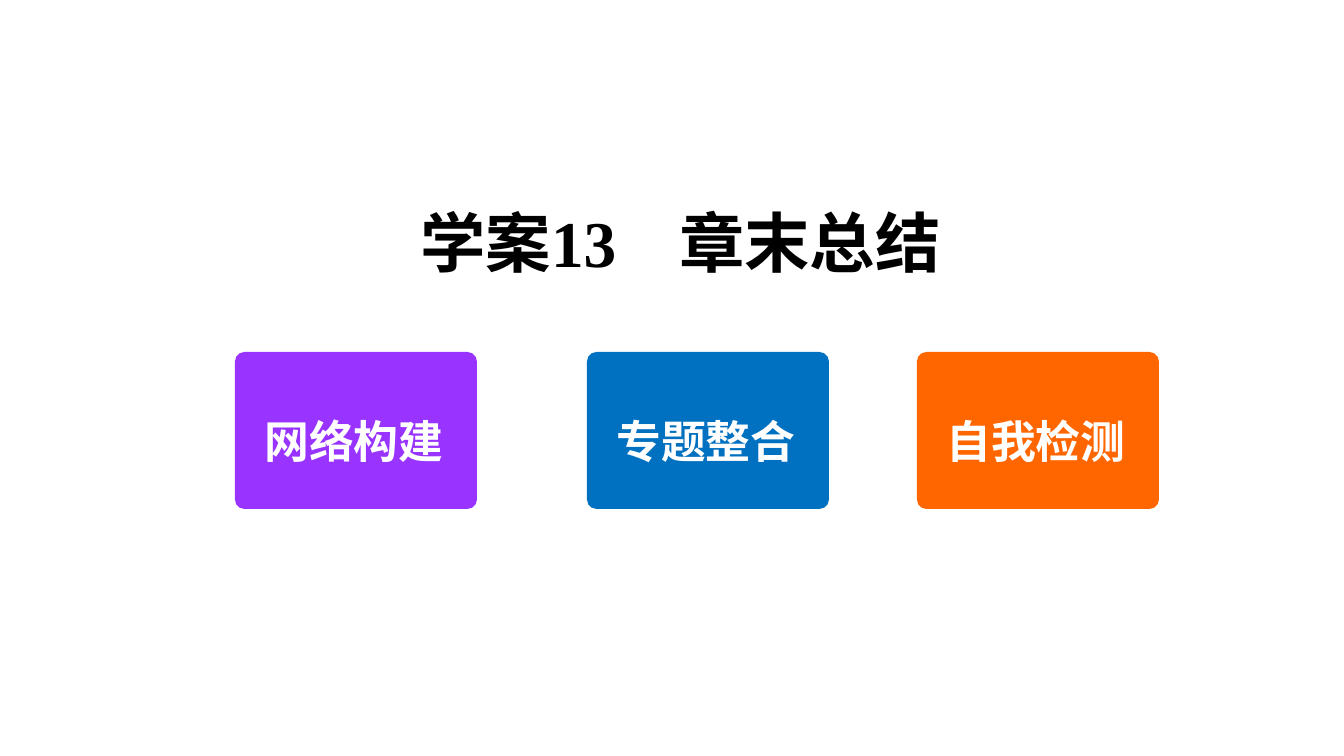
"""Build a chapter summary title slide with three coloured section cards."""
from dataclasses import dataclass

import pptx
import pptx.dml.color
import pptx.enum.shapes
import pptx.enum.text
import pptx.oxml
import pptx.oxml.ns
import pptx.util

TITLE = "学案13\t章末总结"
CARDS = [
    ("网络构建", 235, "9933FF"),
    ("专题整合", 587, "0070C0"),
    ("自我检测", 917, "FF6600"),
]

SLIDE_SIZE = (1344, 756)
TITLE_BOX = (407, 156, 560, 118)
TITLE_TAB = 259
CARD_TOP, CARD_WIDTH, CARD_HEIGHT = 352, 242, 157
LABEL_INSET, LABEL_TOP, LABEL_HEIGHT = 16, 380, 86


@dataclass(frozen=True)
class Theme:
    title_color: str = "000000"
    label_color: str = "FFFFFF"
    title_size: int = 35
    label_size: int = 24
    latin_font: str = "Times New Roman"
    chinese_font: str = "Noto Sans CJK SC"
    line_spacing: float = 1.5
    corner: float = 0.06


THEME = Theme()


def px(length):
    return pptx.util.Emu(round(length * 914400 / 134.4))


def rgb(value):
    return pptx.dml.color.RGBColor.from_string(value)


def add_text(slide, text, *, box, size, color, font, wrap=True, tab=None):
    frame = slide.shapes.add_textbox(*map(px, box)).text_frame
    frame.word_wrap = wrap
    frame.auto_size = pptx.enum.text.MSO_AUTO_SIZE.SHAPE_TO_FIT_TEXT
    paragraph = frame.paragraphs[0]
    if tab is not None:
        properties = paragraph._p.get_or_add_pPr()
        properties.append(pptx.oxml.parse_xml(
            f'<a:tabLst {pptx.oxml.ns.nsdecls("a")}>'
            f'<a:tab pos="{px(tab)}" algn="l"/></a:tabLst>'))
    paragraph.line_spacing = THEME.line_spacing
    run = paragraph.add_run()
    run.text = text
    run.font.size = pptx.util.Pt(size)
    run.font.bold = True
    run.font.name = font
    run.font.color.rgb = rgb(color)
    run._r.get_or_add_rPr().append(pptx.oxml.parse_xml(
        f'<a:ea {pptx.oxml.ns.nsdecls("a")} typeface="{THEME.chinese_font}"/>'))


def add_card(slide, label, left, color):
    card = slide.shapes.add_shape(
        pptx.enum.shapes.MSO_SHAPE.ROUNDED_RECTANGLE,
        *map(px, (left, CARD_TOP, CARD_WIDTH, CARD_HEIGHT)))
    card.adjustments[0] = THEME.corner
    card.shadow.inherit = False
    card.fill.solid()
    card.fill.fore_color.rgb = rgb(color)
    card.line.fill.background()
    label_box = (left + LABEL_INSET, LABEL_TOP,
                 CARD_WIDTH - 2 * LABEL_INSET, LABEL_HEIGHT)
    add_text(slide, label, box=label_box, size=THEME.label_size,
             color=THEME.label_color, font=THEME.chinese_font, wrap=False)


def main():
    presentation = pptx.Presentation()
    presentation.slide_width, presentation.slide_height = map(px, SLIDE_SIZE)
    slide = presentation.slides.add_slide(presentation.slide_layouts[6])
    add_text(slide, TITLE, box=TITLE_BOX, size=THEME.title_size,
             color=THEME.title_color, font=THEME.latin_font, tab=TITLE_TAB)
    for label, left, color in CARDS:
        add_card(slide, label, left, color)
    presentation.save("out.pptx")


if __name__ == "__main__":
    main()
